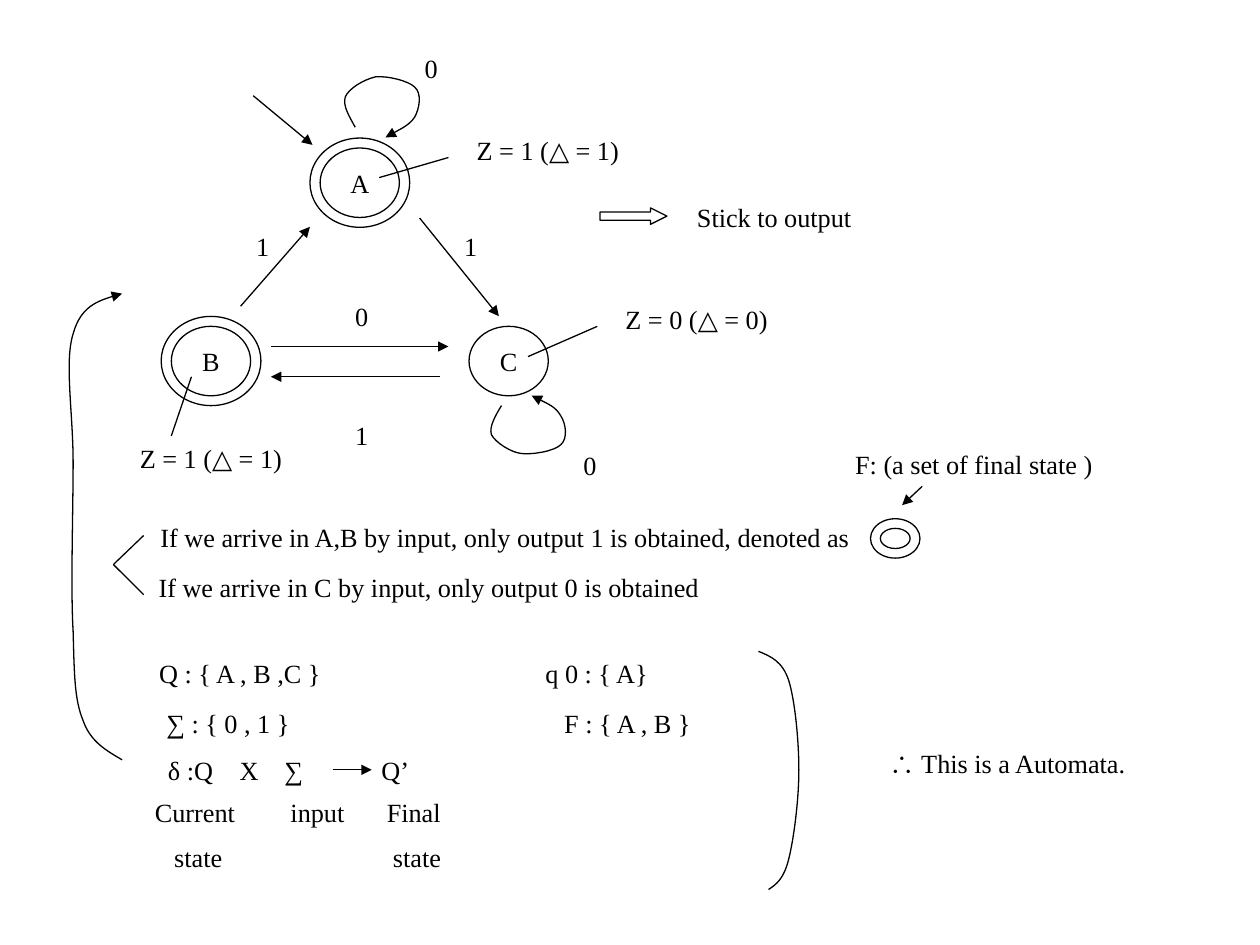
from typing import NamedTuple

import pptx
import pptx.dml.color
import pptx.enum.shapes
import pptx.enum.text
import pptx.oxml
import pptx.oxml.ns
import pptx.util
from lxml import etree

Pt = pptx.util.Pt
qn = pptx.oxml.ns.qn
Align = pptx.enum.text.PP_ALIGN
Shape = pptx.enum.shapes.MSO_SHAPE

BLACK = pptx.dml.color.RGBColor(0, 0, 0)
WHITE = pptx.dml.color.RGBColor(255, 255, 255)
FONT = "Times New Roman"
INSET = 7.2


class Label(NamedTuple):
    text: str
    left: float
    top: float
    width: float
    align: Align = Align.CENTER
    wrap: bool = True
    lead: float = 0
    tail: float = 0
    tabs: tuple[float, ...] = ()


class State(NamedTuple):
    name: str
    x: float
    y: float
    inner: tuple[float, float] = (45.3, 39.7)
    outer: tuple[float, float] | None = None


class Stroke(NamedTuple):
    start: tuple[float, float]
    end: tuple[float, float]
    arrow: bool = True


class Curve(NamedTuple):
    start: tuple[float, float]
    pieces: list[tuple[float, ...]]
    arrow: bool = True


DOUBLE_RING = (57, 51)
STATES = [
    State("A", 205.6, 104.4, outer=DOUBLE_RING),
    State("B", 120.6, 206.3, outer=DOUBLE_RING),
    State("C", 290.7, 206.3),
    State("", 511.6, 307.7, inner=(17, 11.5), outer=(28.3, 22.5)),
]

STROKES = [
    Stroke((144.7, 54.7), (178.6, 82.8)),
    Stroke((137.5, 175), (177.1, 129.6)),
    Stroke((239.8, 124.6), (285.1, 180.7)),
    Stroke((154.8, 198), (256.3, 198)),
    Stroke((251.3, 215.3), (154.8, 215.3)),
    Stroke((216.7, 101.5), (256.3, 90), False),
    Stroke((109.4, 215.3), (97.9, 249.1), False),
    Stroke((301.7, 203.8), (341.3, 186.5), False),
    Stroke((82.1, 306), (64.8, 322.6), False),
    Stroke((64.8, 322.6), (82.1, 339.8), False),
    Stroke((190.1, 439.9), (212.4, 439.9)),
    Stroke((527, 277.9), (515.5, 288.7)),
]

LOOP_A = Curve((203, 72.7), [
    (199.4, 66.2, 195.8, 60.5, 197.3, 55.4),
    (199.4, 50.4, 208.1, 45.4, 214.6, 43.9),
    (221, 43.2, 233.3, 46.1, 236.9, 49.7),
    (241.2, 53.3, 239.8, 61.9, 236.9, 67),
    (234, 71.3, 226.8, 74.9, 220.3, 78.5),
])
LOOP_C = Curve((286.6, 231.8), [
    (283, 237.6, 279.4, 244.1, 280.8, 248.4),
    (283, 252.7, 291.6, 258.5, 298.1, 259.2),
    (304.6, 259.9, 316.8, 257.8, 320.4, 254.2),
    (324.7, 250.6, 323.3, 241.9, 320.4, 237.6),
    (317.5, 232.6, 311, 229.7, 303.8, 226.1),
])
DEFINITION_BRACKET = Curve((433.4, 372.2), [
    (440.6, 375.1, 447.1, 378, 450.7, 388.8),
    (454.3, 400.3, 456.5, 423.4, 456.5, 439.9),
    (456.5, 457.2, 453.6, 479.5, 450.7, 491),
    (447.8, 502.6, 443.5, 505.4, 439.2, 508.3),
], arrow=False)
BACK_TO_DIAGRAM = Curve((69.8, 434.2), [
    (61.2, 429.1, 51.8, 424.1, 47.5, 411.8),
    (42.5, 399.6, 42.5, 385.2, 41.8, 360.7),
    (40.3, 336.2, 41.8, 293, 41.8, 264.2),
    (41.8, 236.2, 36.7, 206.6, 41.8, 190.8),
    (46.1, 175, 61.2, 169.9, 69.8, 167.8),
])

INPUTS = [("0", 235.2, 26.1), ("1", 139, 128.2), ("0", 195.6, 167.8),
          ("1", 195.6, 236.2), ("1", 257.8, 128.2), ("0", 325.9, 253.4)]
LABELS = [
    *(Label(text, x, y, 22.3, wrap=False) for text, x, y in INPUTS),
    Label("Z = 0 (△ = 0)", 341.6, 169.9, 113),
    Label("Z = 1 (△ = 1)", 64.1, 249.1, 113),
    Label("Z = 1 (△ = 1)", 256.6, 73.4, 113),
    Label("Stick to output", 371.4, 111.6, 142),
    Label("If we arrive in A,B by input, only output 1 is obtained, denoted as",
          69.8, 294.5, 557.3, Align.LEFT, lead=14.7),
    Label("If we arrive in C by input, only output 0 is obtained",
          83.5, 322.9, 409.7, Align.LEFT),
    Label("Q : { A , B ,C }", 65.5, 372.2, 158.4, tail=15),
    Label("∑ : { 0 , 1 }", 48.2, 400.6, 164.2),
    Label("δ :Q\tΧ\t∑\tQ’", -27.4, 427.7, 388, Align.LEFT, lead=116.2,
          tabs=(41, 66.5, 122)),
    Label("input", 144.7, 451.4, 73.4),
    Label("Current \nstate", 76.6, 451.4, 73.4),
    Label("Final \nstate", 201.6, 451.4, 73.4),
    Label("q 0 : { A}", 269.3, 372.2, 158.4, tail=15),
    Label("F : { A , B }", 292.3, 400.6, 147.6, tail=15),
    Label("∴ This is a Automata.", 473.3, 423.2, 204.5),
    Label("F: (a set of final state )", 454.3, 252.7, 204.5),
]


def write_text(frame, text: str, *, align=Align.CENTER, wrap=True, size=15, gap=8,
               tabs: tuple[float, ...] = ()) -> None:
    """Fill a text frame, one paragraph per line, in the slide's type style."""
    frame.text = text
    frame.word_wrap = wrap
    for index, paragraph in enumerate(frame.paragraphs):
        paragraph.alignment = align
        if index:
            paragraph.space_before = Pt(gap)
        if tabs:
            stops = etree.SubElement(paragraph._p.get_or_add_pPr(), qn("a:tabLst"))
            for position in tabs:
                etree.SubElement(stops, qn("a:tab"), pos=str(Pt(position)), algn="l")
        for run in paragraph.runs:
            run.font.name, run.font.size, run.font.color.rgb = FONT, Pt(size), BLACK


def style_line(line, arrow: bool = False) -> None:
    """Make a thin black line, with an arrowhead at its end if asked."""
    line.color.rgb = BLACK
    line.width = Pt(0.75)
    if arrow:
        etree.SubElement(line._get_or_add_ln(), qn("a:tailEnd"), type="triangle")


def draw_label(shapes, label: Label) -> None:
    """Add a text box; lead and tail widen its side insets."""
    height = 25.2 + 27.4 * label.text.count("\n")
    box = shapes.add_textbox(Pt(label.left), Pt(label.top), Pt(label.width), Pt(height))
    frame = box.text_frame
    write_text(frame, label.text, align=label.align, wrap=label.wrap, tabs=label.tabs)
    frame.auto_size = pptx.enum.text.MSO_AUTO_SIZE.SHAPE_TO_FIT_TEXT
    frame.margin_left, frame.margin_right = Pt(INSET + label.lead), Pt(INSET + label.tail)


def draw_outline(shapes, kind, left: float, top: float, width: float, height: float, filled=True):
    """Add a black-edged preset shape, white inside or empty."""
    shape = shapes.add_shape(kind, Pt(left), Pt(top), Pt(width), Pt(height))
    shape.shadow.inherit = False
    if filled:
        shape.fill.solid()
        shape.fill.fore_color.rgb = WHITE
    else:
        shape.fill.background()
    style_line(shape.line)
    return shape


def draw_state(shapes, state: State) -> None:
    """Add a state; a final state has a second ring."""
    for size, filled in ((state.inner, True), (state.outer, False)):
        if size:
            width, height = size
            ring = draw_outline(shapes, Shape.OVAL, state.x - width / 2,
                                state.y - height / 2, width, height, filled)
            if filled and state.name:
                write_text(ring.text_frame, state.name, wrap=False)


def draw_stroke(shapes, stroke: Stroke) -> None:
    """Add a straight line or arrow."""
    ends = [Pt(value) for value in (*stroke.start, *stroke.end)]
    line = shapes.add_connector(pptx.enum.shapes.MSO_CONNECTOR.STRAIGHT, *ends)
    style_line(line.line, stroke.arrow)
    etree.SubElement(line._element.spPr, qn("a:effectLst"))


def draw_curve(shapes, curve: Curve) -> None:
    """Add an open outline whose segments are cubic Bezier pieces."""
    knots = [curve.start, *(piece[4:] for piece in curve.pieces)]
    left, top = (min(axis) for axis in zip(*knots))
    builder = shapes.build_freeform(Pt(curve.start[0]), Pt(curve.start[1]))
    builder.add_line_segments([(Pt(x), Pt(y)) for x, y in knots[1:]], close=False)
    outline = builder.convert_to_shape()
    segments = list(outline._element.iter(qn("a:lnTo")))
    for segment, piece in zip(segments, curve.pieces):
        bend = etree.Element(qn("a:cubicBezTo"))
        for x, y in zip(piece[::2], piece[1::2]):
            etree.SubElement(bend, qn("a:pt"), x=str(Pt(x) - Pt(left)), y=str(Pt(y) - Pt(top)))
        segment.getparent().replace(segment, bend)
    outline.shadow.inherit = False
    outline.fill.background()
    style_line(outline.line, curve.arrow)


def main() -> None:
    """Build and save the slide."""
    deck = pptx.Presentation()
    deck.slide_width, deck.slide_height = Pt(720), Pt(540)
    shapes = deck.slides.add_slide(deck.slide_layouts[6]).shapes
    for state in STATES:
        draw_state(shapes, state)
    for stroke in STROKES:
        draw_stroke(shapes, stroke)
    for curve in (LOOP_A, LOOP_C, DEFINITION_BRACKET, BACK_TO_DIAGRAM):
        draw_curve(shapes, curve)
    output_arrow = draw_outline(shapes, Shape.RIGHT_ARROW, 342.9, 118.8, 38.2, 9.4)
    output_arrow.adjustments[1] = 1
    for label in LABELS:
        draw_label(shapes, label)
    deck.save("out.pptx")


main()
